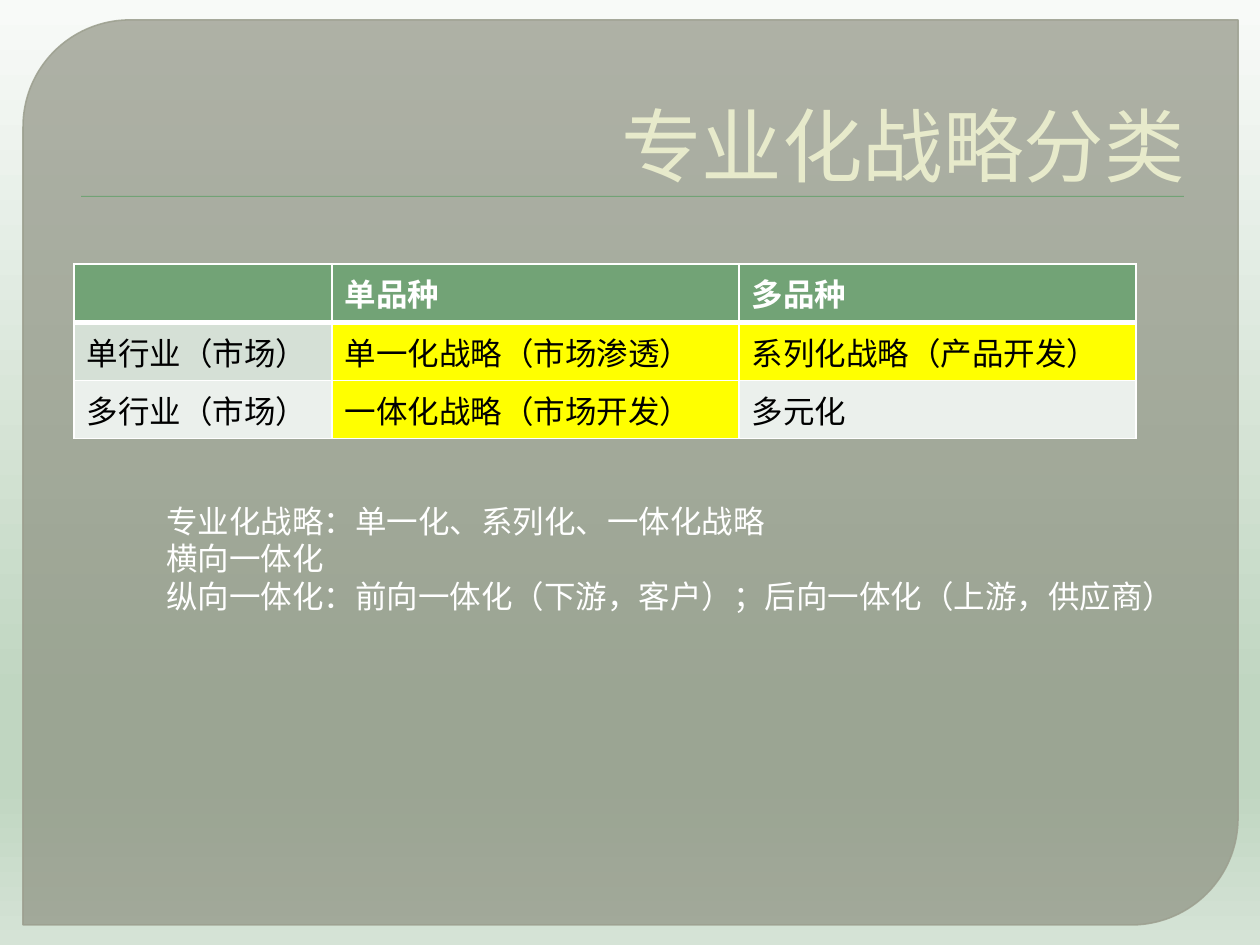
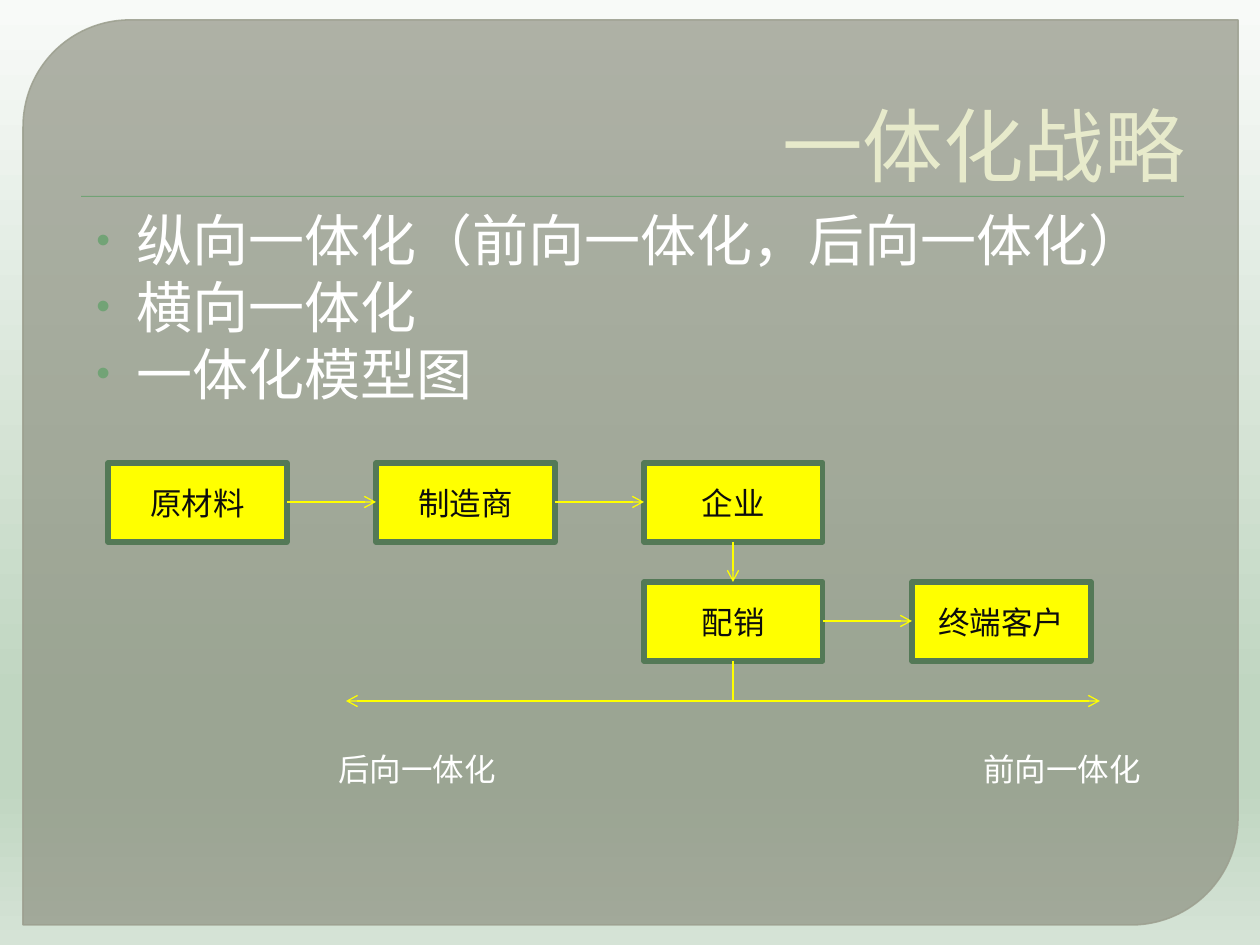
from lxml.etree import SubElement
from pptx import Presentation
from pptx.dml.color import RGBColor
from pptx.enum.dml import MSO_FILL
from pptx.enum.shapes import MSO_CONNECTOR, MSO_SHAPE
from pptx.enum.text import MSO_ANCHOR, MSO_AUTO_SIZE, PP_ALIGN
from pptx.oxml.ns import qn
from pptx.util import Pt

SCALE = 914400 / 126
FONT = "Roboto Slab"
LINE_RATIO = 1.19

WHITE = RGBColor(0xFF, 0xFF, 0xFF)
BLACK = RGBColor(0x00, 0x00, 0x00)
INK = RGBColor(0x0D, 0x0D, 0x0D)
YELLOW = RGBColor(0xFF, 0xFF, 0x00)
GREEN = RGBColor(0x72, 0xA3, 0x76)
DARK_GREEN = RGBColor(0x54, 0x79, 0x57)
CREAM = RGBColor(0xE7, 0xEA, 0xCB)
PANEL = RGBColor(0x88, 0x8B, 0x7B)
PANEL_EDGE = RGBColor(0x9D, 0xA0, 0x90)
ROW_ODD = RGBColor(0xD5, 0xE0, 0xD6)
ROW_EVEN = RGBColor(0xEB, 0xF0, 0xEC)
BACKGROUND_STOPS = [
    (0, RGBColor(0xF8, 0xFA, 0xF8)),
    (74, RGBColor(0xC0, 0xD6, 0xC1)),
    (83, RGBColor(0xC0, 0xD6, 0xC1)),
    (100, RGBColor(0xD5, 0xE3, 0xD6)),
]

BOX_WIDTH, BOX_HEIGHT = 179, 79
BOX_LEFT, BOX_TOP = 108, 463
COLUMN_STEP, ROW_STEP = 268, 119


def px(length):
    """Turn pixels into EMU."""
    return round(length * SCALE)


def rect(left, top, width, height):
    """Return a pixel rectangle in EMU."""
    return [px(value) for value in (left, top, width, height)]


def format_font(font, size, color, bold=False):
    """Set the typeface, size, colour and weight of a font."""
    font.name = FONT
    font.size = Pt(size)
    font.bold = bold
    font.color.rgb = color


def set_alpha(color_parent, percent):
    """Make the solid colour below an element partly transparent."""
    color = color_parent.find(".//" + qn("a:srgbClr"))
    SubElement(color, qn("a:alpha"), val=str(percent * 1000))


def add_background(slide):
    """Paint the vertical gradient of the slide."""
    fill = slide.background.fill
    fill.gradient()
    fill.gradient_angle = 270
    stops = slide.element.find(".//" + qn("a:gsLst"))
    for stop in list(stops):
        stops.remove(stop)
    for position, color in BACKGROUND_STOPS:
        stop = SubElement(stops, qn("a:gs"), pos=str(position * 1000))
        SubElement(stop, qn("a:srgbClr"), val=str(color))


def add_filled_shape(slide, kind, area, color):
    """Add a preset shape with a plain fill and no outline."""
    shape = slide.shapes.add_shape(kind, *rect(*area))
    shape.shadow.inherit = False
    shape.fill.solid()
    shape.fill.fore_color.rgb = color
    shape.line.fill.background()
    return shape


def add_panel(slide):
    """Add the translucent panel behind the content."""
    panel = add_filled_shape(slide, MSO_SHAPE.ROUND_2_DIAG_RECTANGLE, (23, 20, 1215, 905), PANEL)
    panel.adjustments[0] = 0.118
    panel.adjustments[1] = 0
    panel.line.color.rgb = PANEL_EDGE
    panel.line.width = Pt(0.87)
    properties = panel.element.spPr
    set_alpha(properties.find(qn("a:solidFill")), 65)
    set_alpha(properties.find(qn("a:ln")), 88)


def add_text(slide, area, lines, size, color, wrap=False):
    """Add a text box with one paragraph for each line."""
    box = slide.shapes.add_textbox(*rect(*area))
    frame = box.text_frame
    frame.word_wrap = wrap
    frame.auto_size = MSO_AUTO_SIZE.NONE if wrap else MSO_AUTO_SIZE.SHAPE_TO_FIT_TEXT
    frame.margin_top = px(6) + Pt(size * 0.1)
    frame.text = "\n".join(lines)
    for paragraph in frame.paragraphs:
        paragraph.line_spacing = Pt(size * LINE_RATIO)
        format_font(paragraph.runs[0].font, size, color)
    return frame


def add_title(slide, title):
    """Add the right-aligned slide title."""
    frame = add_text(slide, (63, 35, 1134, 158), [title], 46, CREAM, wrap=True)
    frame.vertical_anchor = MSO_ANCHOR.BOTTOM
    frame.margin_bottom = 0
    frame.paragraphs[0].alignment = PP_ALIGN.RIGHT


def add_bullets(slide, area, lines):
    """Add a bulleted list with small green dots."""
    frame = add_text(slide, area, lines, 32, WHITE, wrap=True)
    for paragraph in frame.paragraphs:
        properties = paragraph._p.get_or_add_pPr()
        properties.set("marL", str(px(40)))
        properties.set("indent", str(px(-40)))
        color = SubElement(properties, qn("a:buClr"))
        SubElement(color, qn("a:srgbClr"), val=str(GREEN))
        SubElement(properties, qn("a:buSzPct"), val="70000")
        SubElement(properties, qn("a:buFont"), typeface="Arial")
        SubElement(properties, qn("a:buChar"), char="•")


def add_slide(presentation, title):
    """Add a slide with the shared background, panel, rule and title."""
    slide = presentation.slides.add_slide(presentation.slide_layouts[6])
    add_background(slide)
    add_panel(slide)
    add_filled_shape(slide, MSO_SHAPE.RECTANGLE, (81, 196, 1103, 1), GREEN)
    add_title(slide, title)
    return slide


def set_borders(cell, top, bottom):
    """Draw white cell borders with the given top and bottom widths."""
    properties = cell._tc.get_or_add_tcPr()
    widths = {"a:lnL": 1, "a:lnR": 1, "a:lnT": top, "a:lnB": bottom}
    for tag, width in widths.items():
        border = SubElement(properties, qn(tag), w=str(Pt(width)))
        fill = SubElement(border, qn("a:solidFill"))
        SubElement(fill, qn("a:srgbClr"), val=str(WHITE))


def add_grid(slide, left, top, widths, row_height, rows, fills):
    """Add a table whose first row is a bold header."""
    area = rect(left, top, sum(widths), row_height * len(rows))
    table = slide.shapes.add_table(len(rows), len(widths), *area).table
    for column, width in zip(table.columns, widths):
        column.width = px(width)
    for row, texts in enumerate(rows):
        for column, text in enumerate(texts):
            cell = table.cell(row, column)
            set_borders(cell, 3 if row == 1 else 1, 3 if row == 0 else 1)
            cell.fill.solid()
            cell.fill.fore_color.rgb = fills[row][column]
            cell.text = text
            header = row == 0
            color = WHITE if header else BLACK
            format_font(cell.text_frame.paragraphs[0].font, 18, color, header)
            for run in cell.text_frame.paragraphs[0].runs:
                format_font(run.font, 18, color, header)


def add_stage(slide, column, row, name):
    """Add one stage of the chain at its grid place."""
    left = BOX_LEFT + column * COLUMN_STEP
    top = BOX_TOP + row * ROW_STEP
    stage = add_filled_shape(slide, MSO_SHAPE.RECTANGLE, (left, top, BOX_WIDTH, BOX_HEIGHT), YELLOW)
    stage.line.color.rgb = DARK_GREEN
    stage.line.width = Pt(3)
    frame = stage.text_frame
    frame.text = name
    frame.vertical_anchor = MSO_ANCHOR.MIDDLE
    frame.paragraphs[0].alignment = PP_ALIGN.CENTER
    format_font(frame.paragraphs[0].runs[0].font, 18, INK)


def add_arrow(slide, start, end, ends=("tailEnd",)):
    """Add a thin yellow line with arrowheads at the named ends."""
    points = [px(value) for value in (*start, *end)]
    arrow = slide.shapes.add_connector(MSO_CONNECTOR.STRAIGHT, *points)
    arrow.line.color.rgb = YELLOW
    arrow.line.width = Pt(0.75)
    properties = arrow.element.spPr
    line = properties.find(qn("a:ln"))
    for name in ends:
        SubElement(line, qn("a:" + name), type="arrow")
    SubElement(properties, qn("a:effectLst"))


def add_step_arrow(slide, column, row):
    """Add the arrow from a stage to the next one on its right."""
    left = BOX_LEFT + column * COLUMN_STEP
    middle = BOX_TOP + row * ROW_STEP + BOX_HEIGHT // 2
    add_arrow(slide, (left + BOX_WIDTH, middle), (left + COLUMN_STEP, middle))


def build_classification(presentation):
    """Build the slide that classifies the strategies."""
    slide = add_slide(presentation, "专业化战略分类")
    rows = [
        ("", "单品种", "多品种"),
        ("单行业（市场）", "单一化战略（市场渗透）", "系列化战略（产品开发）"),
        ("多行业（市场）", "一体化战略（市场开发）", "多元化"),
    ]
    fills = [(GREEN,) * 3, (ROW_ODD, YELLOW, YELLOW), (ROW_EVEN, YELLOW, ROW_EVEN)]
    add_grid(slide, 74, 264, (258, 407, 397), 52, rows, fills)
    notes = [
        "专业化战略：单一化、系列化、一体化战略",
        "横向一体化",
        "纵向一体化：前向一体化（下游，客户）；后向一体化（上游，供应商）",
    ]
    add_text(slide, (154, 493, 1043, 127), notes, 18, WHITE)


def build_integration(presentation):
    """Build the slide with the integration model."""
    slide = add_slide(presentation, "一体化战略")
    bullets = ["纵向一体化（前向一体化，后向一体化）", "横向一体化", "一体化模型图"]
    add_bullets(slide, (84, 195, 1134, 238), bullets)
    stages = [(0, 0, "原材料"), (1, 0, "制造商"), (2, 0, "企业"), (2, 1, "配销"), (3, 1, "终端客户")]
    for column, row, name in stages:
        add_stage(slide, column, row, name)
    for column, row in [(0, 0), (1, 0), (2, 1)]:
        add_step_arrow(slide, column, row)
    center = BOX_LEFT + 2 * COLUMN_STEP + BOX_WIDTH // 2
    second_row = BOX_TOP + ROW_STEP
    axis = 701
    add_arrow(slide, (center, BOX_TOP + BOX_HEIGHT), (center, second_row))
    add_arrow(slide, (center, second_row + BOX_HEIGHT), (center, axis), ())
    add_arrow(slide, (346, axis), (1100, axis), ("headEnd", "tailEnd"))
    for left, label in [(326, "后向一体化"), (971, "前向一体化")]:
        add_text(slide, (left, 741, 184, 50), [label], 18, WHITE)


def main():
    """Build and save the presentation."""
    presentation = Presentation()
    presentation.slide_width = px(1260)
    presentation.slide_height = px(945)
    build_classification(presentation)
    build_integration(presentation)
    presentation.save("out.pptx")


if __name__ == "__main__":
    main()
